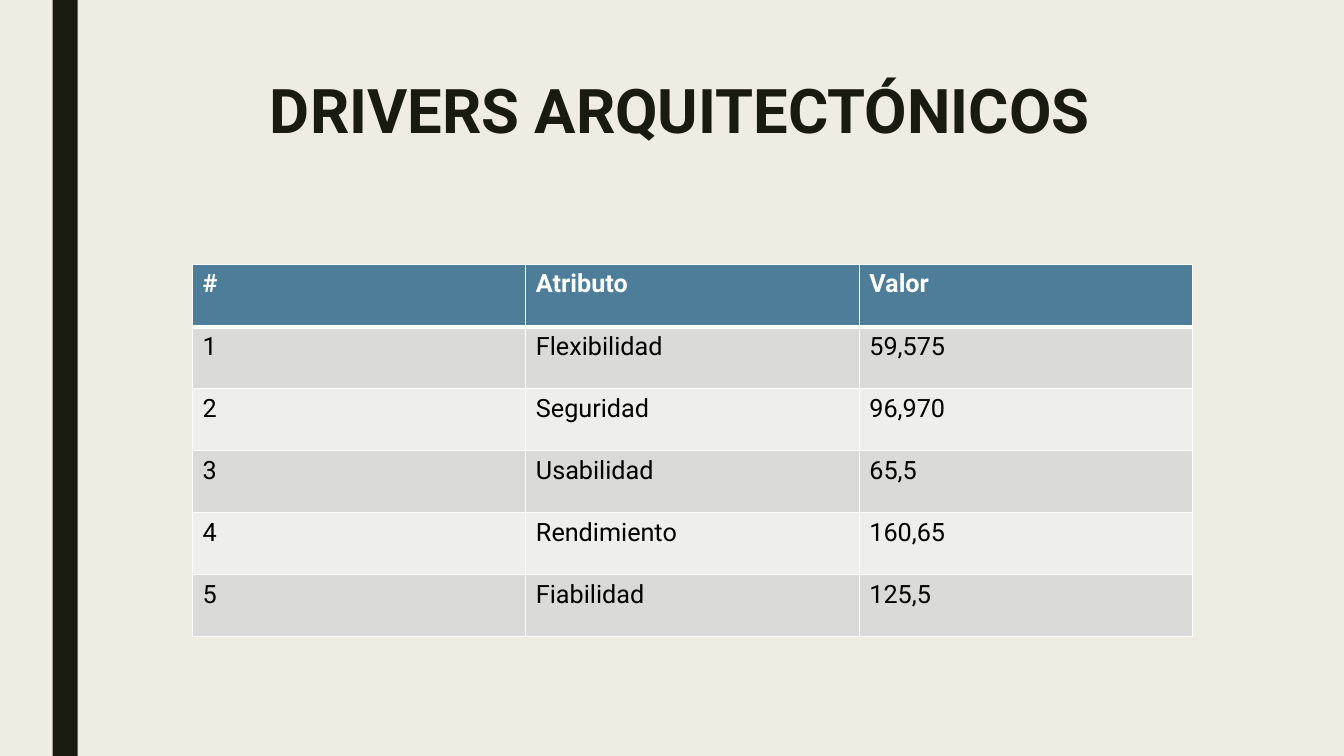
import pptx
import pptx.dml.color
import pptx.enum.shapes
import pptx.enum.text
import pptx.oxml
import pptx.oxml.ns
import pptx.util

Pt = pptx.util.Pt


def color(code):
    return pptx.dml.color.RGBColor.from_string(code)


class Deck:
    face = "Roboto"
    ink = "191B0E"
    paper = "EFEDE3"
    white = "FFFFFF"
    black = "000000"
    head = "4D7D99"
    bands = ("DADBD9", "EEEEED")

    def __init__(self, width, height):
        self.file = pptx.Presentation()
        self.file.slide_width = Pt(width)
        self.file.slide_height = Pt(height)
        self.slide = self.file.slides.add_slide(self.file.slide_layouts[6])
        self.paint(self.slide.background, self.paper)

    def paint(self, item, code):
        item.fill.solid()
        item.fill.fore_color.rgb = color(code)

    def style(self, para, size, code, bold):
        font = para.font
        font.name = self.face
        font.size = Pt(size)
        font.bold = bold
        font.color.rgb = color(code)

    def bar(self, *area):
        kind = pptx.enum.shapes.MSO_SHAPE.RECTANGLE
        shape = self.slide.shapes.add_shape(kind, *map(Pt, area))
        shape.shadow.inherit = False
        self.paint(shape, self.ink)
        shape.line.fill.background()

    def title(self, text, *area):
        frame = self.slide.shapes.add_textbox(*map(Pt, area)).text_frame
        frame.word_wrap = True
        para = frame.paragraphs[0]
        para.text = text
        para.alignment = pptx.enum.text.PP_ALIGN.CENTER
        para.line_spacing = 0.89
        self.style(para, 44, self.ink, True)

    def border(self, cell, sides):
        props = cell._tc.get_or_add_tcPr()
        space = pptx.oxml.ns.nsdecls("a")
        for side, width in sides.items():
            props.append(pptx.oxml.parse_xml(
                f'<a:ln{side} {space} w="{Pt(width)}"><a:solidFill>'
                f'<a:srgbClr val="{self.white}"/></a:solidFill></a:ln{side}>'))

    def table(self, data, *area):
        frame = self.slide.shapes.add_table(len(data), len(data[0]), *map(Pt, area))
        grid = frame.table
        grid.horz_banding = False
        for row, line in enumerate(data):
            top = row == 0
            fill = self.head if top else self.bands[(row - 1) % 2]
            for col, text in enumerate(line):
                cell = grid.cell(row, col)
                cell.text = text
                self.style(cell.text_frame.paragraphs[0], 18,
                           self.white if top else self.black, top)
                self.border(cell, {"L": 1, "R": 1, "T": 3 if row == 1 else 1,
                                   "B": 3 if top else 1})
                self.paint(cell, fill)


def main():
    deck = Deck(960, 540)
    deck.bar(37.5, 0, 18, 540)
    deck.title("DRIVERS ARQUITECTÓNICOS", 108, 54, 756, 116.5)
    deck.table([
        ("#", "Atributo", "Valor"),
        ("1", "Flexibilidad", "59,575"),
        ("2", "Seguridad", "96,970"),
        ("3", "Usabilidad", "65,5"),
        ("4", "Rendimiento", "160,65"),
        ("5", "Fiabilidad", "125,5"),
    ], 137.5, 189, 714.5, 266)
    deck.file.save("out.pptx")


if __name__ == "__main__":
    main()
